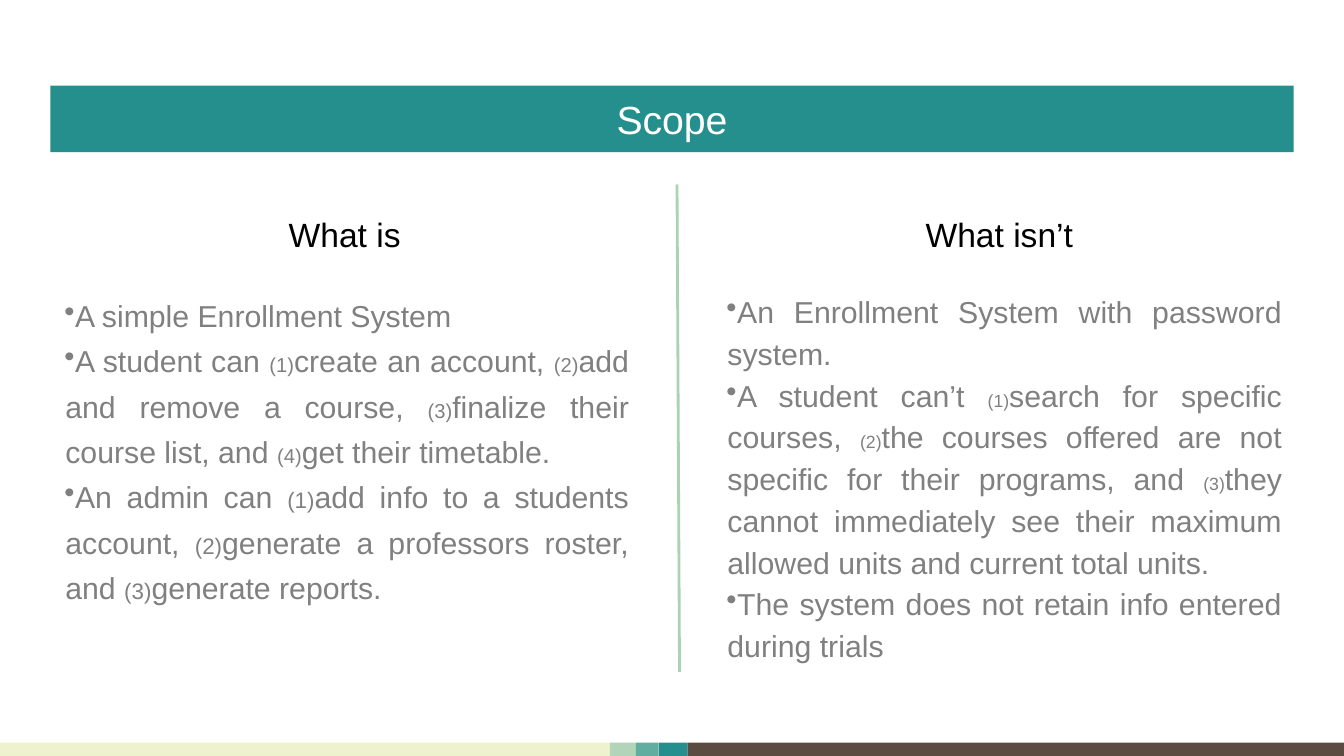
from dataclasses import dataclass

from lxml import etree
from pptx import Presentation, util as u
from pptx.dml.color import RGBColor
from pptx.enum import shapes, text
from pptx.oxml.ns import qn


@dataclass(frozen=True)
class Theme:
    font: str = "Arial"
    teal: str = "258F8D"
    sea: str = "61ADA0"
    mint: str = "B2D4B9"
    cream: str = "EEF2CD"
    brown: str = "5A4C41"
    divider: str = "ABD2B3"
    white: str = "FFFFFF"
    black: str = "000000"
    grey: str = "808080"
    title_size: float = 28
    heading_size: float = 24
    body_size: float = 21.6


THEME = Theme()
WIDTH, HEIGHT = 960, 540
MARGIN = 36

# Each item is (size of its numbers, runs); runs such as "(1)" are numbers.
WHAT_IS = [
    (None, ["A simple Enrollment System"]),
    (14.4, ["A student can ", "(1)", "create an account, ", "(2)",
            "add and remove a course, ", "(3)",
            "finalize their course list, and ", "(4)", "get their timetable."]),
    (16, ["An admin can ", "(1)", "add info to a students account, ", "(2)",
          "generate a professors roster, and ", "(3)", "generate reports."]),
]
WHAT_ISNT = [
    (None, ["An Enrollment System with password system."]),
    (12.6, ["A student can’t ", "(1)", "search for specific courses, ", "(2)",
            "the courses offered are not specific for their programs, and ", "(3)",
            "they cannot immediately see their maximum allowed units and current total units."]),
    (None, ["The system does not retain info entered during trials"]),
]


def points(*lengths):
    return [u.Pt(length) for length in lengths]


def style(paragraph, size, color, alignment):
    paragraph.alignment = alignment
    paragraph.font.name = THEME.font
    paragraph.font.size = u.Pt(size)
    paragraph.font.color.rgb = RGBColor.from_string(color)


def add_bar(slide, left, top, width, height, color):
    bar = slide.shapes.add_shape(shapes.MSO_SHAPE.RECTANGLE, *points(left, top, width, height))
    bar.shadow.inherit = False
    bar.fill.solid()
    bar.fill.fore_color.rgb = RGBColor.from_string(color)
    bar.line.fill.background()
    return bar


def write_label(shape, label, size, color):
    frame = shape.text_frame
    frame.word_wrap = True
    frame.vertical_anchor = text.MSO_ANCHOR.MIDDLE
    frame.text = label
    style(frame.paragraphs[0], size, color, text.PP_ALIGN.CENTER)


def add_footer_strip(slide, top, height):
    edges = [0, 435.6, 454.3, 470.4, 491.2, WIDTH]
    colors = [THEME.cream, THEME.mint, THEME.sea, THEME.teal, THEME.brown]
    for left, right, color in zip(edges, edges[1:], colors):
        add_bar(slide, left, top, right - left, height, color)


def add_bullet(paragraph):
    """Set a bullet that sits directly against its text."""
    properties = paragraph._p.get_or_add_pPr()
    properties.set("marL", str(u.Pt(0.75)))
    properties.set("indent", str(u.Pt(-0.75)))
    etree.SubElement(properties, qn("a:buChar")).set("char", "•")


def add_column(slide, left, top, width, heading, items, line_spacing, body_inset):
    heading_height, body_height = 70.5, 281
    heading_box = slide.shapes.add_textbox(*points(left, top, width, heading_height))
    write_label(heading_box, heading, THEME.heading_size, THEME.black)

    left_inset, right_inset = body_inset
    body = slide.shapes.add_textbox(*points(
        left + left_inset, top + heading_height, width - left_inset - right_inset, body_height))
    frame = body.text_frame
    frame.word_wrap = True
    for index, (number_size, runs) in enumerate(items):
        paragraph = frame.add_paragraph() if index else frame.paragraphs[0]
        add_bullet(paragraph)
        style(paragraph, THEME.body_size, THEME.grey, text.PP_ALIGN.JUSTIFY)
        paragraph.line_spacing = line_spacing
        for words in runs:
            run = paragraph.add_run()
            run.text = words
            if words.startswith("("):
                run.font.size = u.Pt(number_size)


def add_divider(slide, left, top, right, bottom):
    divider = slide.shapes.add_connector(
        shapes.MSO_CONNECTOR.STRAIGHT, *points(left, top, right, bottom))
    divider.line.color.rgb = RGBColor.from_string(THEME.divider)
    divider.line.width = u.Pt(2)
    etree.SubElement(divider._element.spPr, qn("a:effectLst"))


def add_scope_slide(presentation):
    slide = presentation.slides.add_slide(presentation.slide_layouts[6])
    add_footer_strip(slide, 530.5, HEIGHT - 530.5)
    title = add_bar(slide, MARGIN, 61.2, WIDTH - 2 * MARGIN, 47.5, THEME.teal)
    write_label(title, "Scope", THEME.title_size, THEME.white)

    column_top, column_width = 131.8, 420.4
    add_column(slide, MARGIN, column_top, column_width,
               "What is", WHAT_IS, 1.25, (2.9, 0))
    add_column(slide, WIDTH - MARGIN - column_width, column_top, column_width,
               "What isn’t", WHAT_ISNT, 1.15, (8.2, 1.2))
    add_divider(slide, 483.6, column_top, 485.4, 480)


def main():
    presentation = Presentation()
    presentation.slide_width, presentation.slide_height = points(WIDTH, HEIGHT)
    add_scope_slide(presentation)
    presentation.save("out.pptx")


if __name__ == "__main__":
    main()
